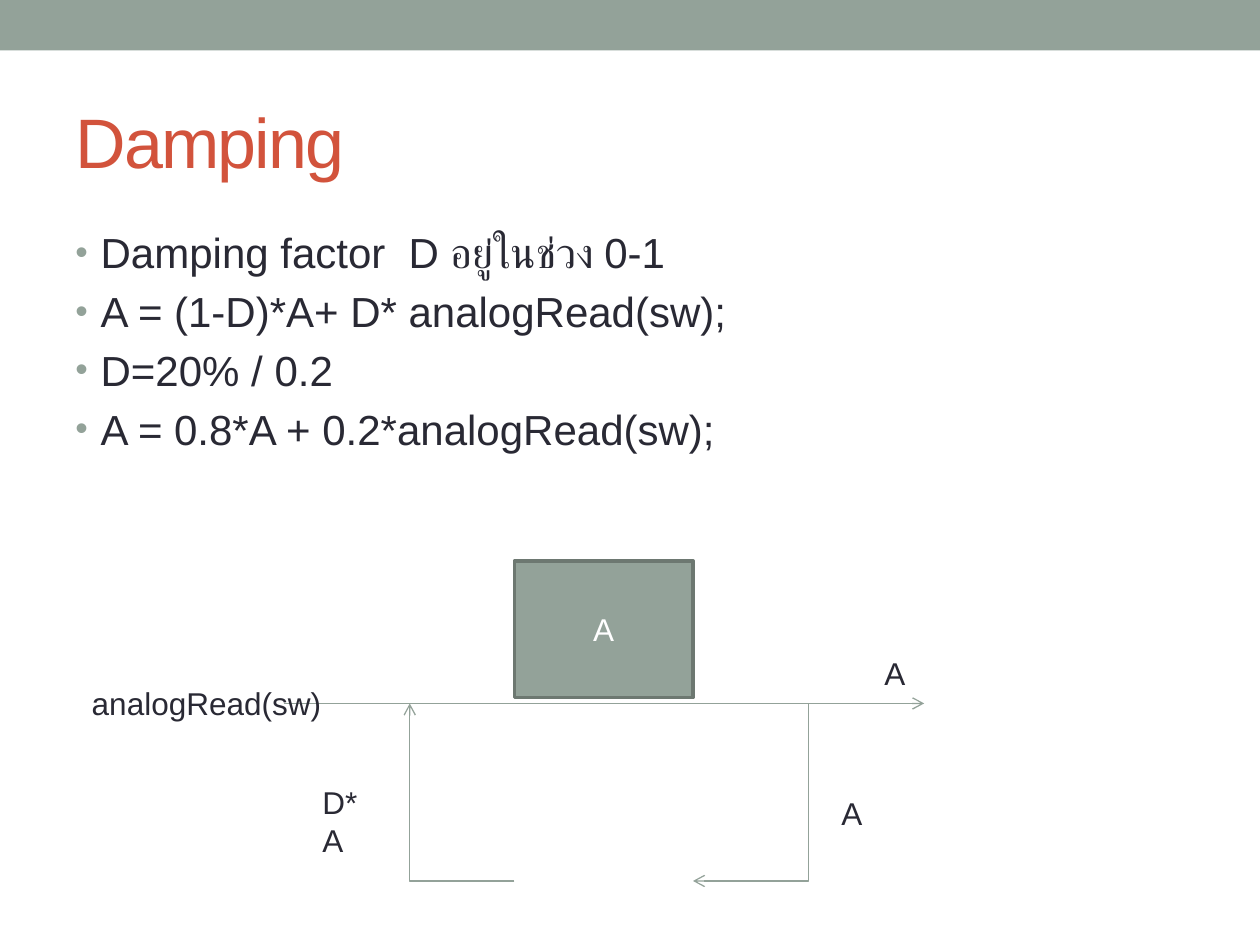
from lxml import etree
from pptx import Presentation
from pptx import util as u
from pptx.dml.color import RGBColor
from pptx.enum import shapes, text
from pptx.oxml import ns

SAGE, EDGE, RUST, INK, WHITE = "93A299", "6D7871", "D2533C", "292934", "FFFFFF"

TITLE = "Damping"
BULLETS = [
    "Damping factor  D อยู่ในช่วง 0-1",
    "A = (1-D)*A+ D* analogRead(sw);",
    "D=20% / 0.2",
    "A = 0.8*A + 0.2*analogRead(sw);",
]
LABELS = [
    ("D*A", 6.25, 15.67, 1.6),
    ("analogRead(sw)", 1.6, 13.67, 5.38),
    ("A", 16.71, 15.88, 5.38),
    ("A", 17.58, 13.06, 5.38),
]
BOX = (10.37, 11.31, 3.6, 2.75)
SIGNAL_Y, FEEDBACK_Y = 14.18, 17.76
SIGNAL_X = (5.72, 18.63)
TAP_X, SUM_X = 16.3, 8.26
LOOPS = [
    ((TAP_X, SIGNAL_Y), (BOX[0] + BOX[2], FEEDBACK_Y), 90),
    ((BOX[0], FEEDBACK_Y), (SUM_X, SIGNAL_Y), 180),
]


def rgb(value):
    return RGBColor.from_string(value)


def child(parent, tag, **attrs):
    return etree.SubElement(parent, ns.qn(tag), attrs)


def put_text(tf, lines, size, color, **fmt):
    tf.word_wrap = True
    for key, value in fmt.items():
        setattr(tf, key, value)
    for i, line in enumerate(lines):
        p = tf.paragraphs[0] if i == 0 else tf.add_paragraph()
        r = p.add_run()
        r.text = line
        for key, value in {"name": "Arial", "size": u.Pt(size)}.items():
            setattr(r.font, key, value)
        r.font.color.rgb = rgb(color)
    return tf


def add_text(at, lines, size, color, **fmt):
    tb = s.shapes.add_textbox(*map(u.Cm, at))
    return put_text(tb.text_frame, lines, size, color, **fmt)


def add_rect(at, line=None):
    sp = s.shapes.add_shape(shapes.MSO_SHAPE.RECTANGLE, *map(u.Cm, at))
    sp.shadow.inherit = False
    sp.fill.solid()
    sp.fill.fore_color.rgb = rgb(SAGE)
    if line:
        sp.line.color.rgb = rgb(line)
        sp.line.width = u.Pt(2.08)
    else:
        sp.line.fill.background()
    return sp


def add_arrow(kind, start, end):
    c = s.shapes.add_connector(kind, *map(u.Cm, start + end))
    c.line.color.rgb = rgb(SAGE)
    c.line.width = u.Pt(0.75)
    child(c.line._get_or_add_ln(), "a:tailEnd", type="arrow")
    child(c._element.spPr, "a:effectLst")
    return c


def add_elbow(start, end, turn):
    (x1, y1), (x2, y2) = start, end
    w, h = abs(x2 - x1), abs(y2 - y1)
    if turn == 90:
        w, h = h, w
    cx, cy = (x1 + x2) / 2, (y1 + y2) / 2
    c = add_arrow(shapes.MSO_CONNECTOR.ELBOW,
                  (cx - w / 2, cy - h / 2), (cx + w / 2, cy + h / 2))
    spPr = c._element.spPr
    spPr.find(ns.qn("a:prstGeom")).set("prst", "bentConnector2")
    spPr.find(ns.qn("a:xfrm")).set("rot", str(turn * 60000))


def add_bullet(p):
    pPr = p._p.get_or_add_pPr()
    indent = u.Cm(0.51)
    pPr.set("marL", str(indent))
    pPr.set("indent", str(-indent))
    child(child(pPr, "a:spcBef"), "a:spcPct", val="20000")
    child(child(pPr, "a:buClr"), "a:srgbClr", val=SAGE)
    child(pPr, "a:buSzPct", val="85000")
    child(pPr, "a:buFont", typeface="Arial")
    child(pPr, "a:buChar", char="•")


prs = Presentation()
prs.slide_width, prs.slide_height = u.Cm(25.4), u.Cm(19.05)
s = prs.slides.add_slide(prs.slide_layouts[6])

add_rect((0, 0, 25.4, 1.02))
middle = text.MSO_ANCHOR.MIDDLE
title = add_text((1.27, 1.47, 22.86, 2.74), [TITLE], 40, RUST, vertical_anchor=middle)
title.paragraphs[0].runs[0].font._element.set("spc", "-100")

body = add_text((1.27, 4.45, 22.86, 13.54), BULLETS, 24, INK)
for p in body.paragraphs:
    add_bullet(p)

box = add_rect(BOX, EDGE)
tf = put_text(box.text_frame, ["A"], 18, WHITE, vertical_anchor=middle)
tf.paragraphs[0].alignment = text.PP_ALIGN.CENTER

add_arrow(shapes.MSO_CONNECTOR.STRAIGHT, (SIGNAL_X[0], SIGNAL_Y), (SIGNAL_X[1], SIGNAL_Y))
for loop in LOOPS:
    add_elbow(*loop)

for label, x, y, w in LABELS:
    add_text((x, y, w, 1.02), [label], 18, INK, auto_size=text.MSO_AUTO_SIZE.SHAPE_TO_FIT_TEXT)

prs.save("out.pptx")
